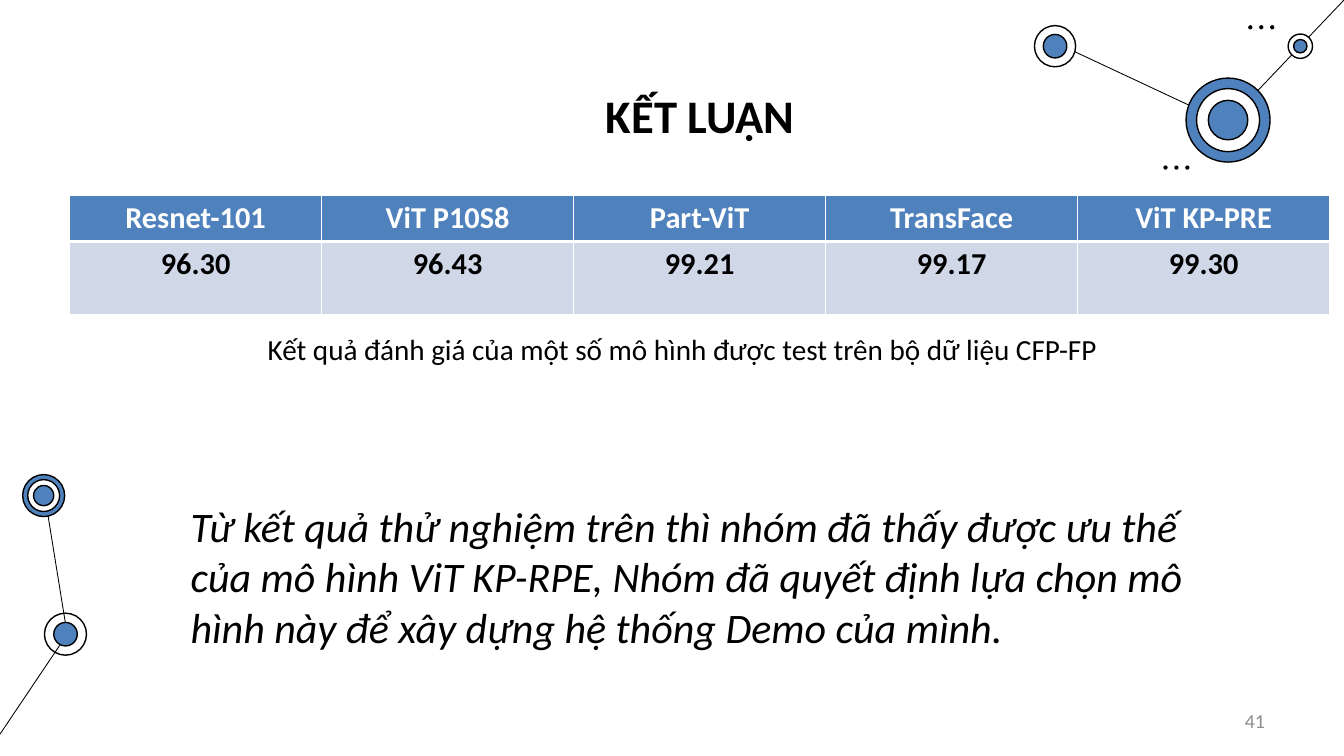
from lxml import etree
from pptx import Presentation
from pptx.dml.color import RGBColor
from pptx.enum import shapes, text
from pptx.oxml.ns import qn
from pptx.util import Inches, Pt

# Content
TITLE = "KẾT LUẬN"
MODELS = [("Resnet-101", "96.30"), ("ViT P10S8", "96.43"), ("Part-ViT", "99.21"),
          ("TransFace", "99.17"), ("ViT KP-PRE", "99.30")]
CAPTION = "Kết quả đánh giá của một số mô hình được test trên bộ dữ liệu CFP-FP"
CONCLUSION = ("Từ kết quả thử nghiệm trên thì nhóm đã thấy được ưu thế của mô hình "
              "ViT KP-RPE, Nhóm đã quyết định lựa chọn mô hình này để xây dựng "
              "hệ thống Demo của mình.")
PAGE = "41"

THEME = {
    "font": "Calibri", "black": "000000", "white": "FFFFFF", "blue": "4F81BD",
    "band": "D0D8E8", "grey": "8C8C8C",
    "title": 40, "table": 26, "caption": 25, "body": 36, "page": 17,
    "link": 0.75, "ring": 1.2,
}

# Decoration: links as (x1, y1, x2, y2), nodes as (centre, [(diameter, fill)])
LINKS = [(0.8, 7.55, 0.53, 5.88), (0, 8.74, 0.78, 7.58),
         (14.62, 1.47, 12.59, 0.52), (16, 0, 14.62, 1.45)]
NODES = [
    ((0.78, 7.55), [(0.5, None), (0.28, "blue")]),
    ((0.52, 5.9), [(0.5, "blue"), (0.38, "white"), (0.24, "blue")]),
    ((14.62, 1.43), [(1, "blue"), (0.75, "white"), (0.47, "blue")]),
    ((12.56, 0.55), [(0.49, "white"), (0.28, "blue")]),
    ((15.48, 0.55), [(0.29, "white"), (0.16, "blue")]),
]
DOT_ROWS = [(14.86, 0.3), (13.85, 1.97)]
DOT_SIZE, DOT_STEP, DOT_COUNT = 0.05, 0.13, 3

TABLE_BOX = (0.83, 2.33, 15, 1.41)
ROW_HEIGHTS = (0.54, 0.87)

prs = Presentation()
prs.slide_width, prs.slide_height = Inches(16), Inches(9)
s = prs.slides.add_slide(prs.slide_layouts[6])


def rgb(name):
    return RGBColor.from_string(THEME[name])


def set_font(p, size, color, bold=False, italic=False):
    f = p.font
    f.name, f.size, f.bold, f.italic = THEME["font"], Pt(THEME[size]), bold, italic
    f.color.rgb = rgb(color)


def add_link(ends):
    c = s.shapes.add_connector(shapes.MSO_CONNECTOR.STRAIGHT, *map(Inches, ends))
    c.line.color.rgb = rgb("black")
    c.line.width = Pt(THEME["link"])
    etree.SubElement(c._element.spPr, qn("a:effectLst"))


def add_circle(x, y, size, fill, ring=True):
    sp = s.shapes.add_shape(shapes.MSO_SHAPE.OVAL, *map(Inches, (x, y, size, size)))
    sp.shadow.inherit = False
    if fill:
        sp.fill.solid()
        sp.fill.fore_color.rgb = rgb(fill)
    else:
        sp.fill.background()
    if ring:
        sp.line.color.rgb = rgb("black")
        sp.line.width = Pt(THEME["ring"])
    else:
        sp.line.fill.background()


def add_text(box, content, size, color="black", align="LEFT", **style):
    sp = s.shapes.add_textbox(*map(Inches, box))
    tf = sp.text_frame
    tf.word_wrap = True
    p = tf.paragraphs[0]
    p.text = content
    p.alignment = getattr(text.PP_ALIGN, align)
    set_font(p, size, color, **style)
    return tf


def set_borders(cell, **widths):
    tcPr = cell._tc.get_or_add_tcPr()
    for i, side in enumerate("LRTB"):
        ln = etree.Element(qn("a:ln" + side), w=str(Pt(widths.get(side, 1))))
        fill = etree.SubElement(ln, qn("a:solidFill"))
        etree.SubElement(fill, qn("a:srgbClr"), val=THEME["white"])
        tcPr.insert(i, ln)


# Network decoration
for ends in LINKS:
    add_link(ends)
for (cx, cy), circles in NODES:
    for size, fill in circles:
        add_circle(cx - size / 2, cy - size / 2, size, fill)
for x, y in DOT_ROWS:
    for i in range(DOT_COUNT):
        add_circle(x + i * DOT_STEP, y, DOT_SIZE, "black", ring=False)

# Title
tf = add_text((6.67, 0.98, 3.33, 0.77), TITLE, "title", align="CENTER", bold=True)
tf.auto_size = text.MSO_AUTO_SIZE.SHAPE_TO_FIT_TEXT

# Results table
table = s.shapes.add_table(2, len(MODELS), *map(Inches, TABLE_BOX)).table
for row, height in zip(table.rows, ROW_HEIGHTS):
    row.height = Inches(height)
for col, values in enumerate(MODELS):
    table.columns[col].width = Inches(TABLE_BOX[2] / len(MODELS))
    for row, (value, fill, color, thick) in enumerate(
            zip(values, ("blue", "band"), ("white", "black"), ("B", "T"))):
        cell = table.cell(row, col)
        cell.fill.solid()
        cell.fill.fore_color.rgb = rgb(fill)
        set_borders(cell, **{thick: 3})
        p = cell.text_frame.paragraphs[0]
        p.text = value
        p.alignment = text.PP_ALIGN.CENTER
        set_font(p, "table", color, bold=True)

# Caption and conclusion
for tf in (add_text((1.83, 3.89, 12.58, 0.52), CAPTION, "caption", align="CENTER"),
           add_text((2.17, 5.91, 12.58, 1.92), CONCLUSION, "body", italic=True)):
    tf.auto_size = text.MSO_AUTO_SIZE.SHAPE_TO_FIT_TEXT

# Page number
tf = add_text((11.47, 8.34, 3.73, 0.48), PAGE, "page", "grey", "RIGHT")
tf.vertical_anchor = text.MSO_ANCHOR.MIDDLE
tf.margin_left = tf.margin_right = Inches(0.14)
tf.margin_top = tf.margin_bottom = Inches(0.07)

prs.save("out.pptx")
